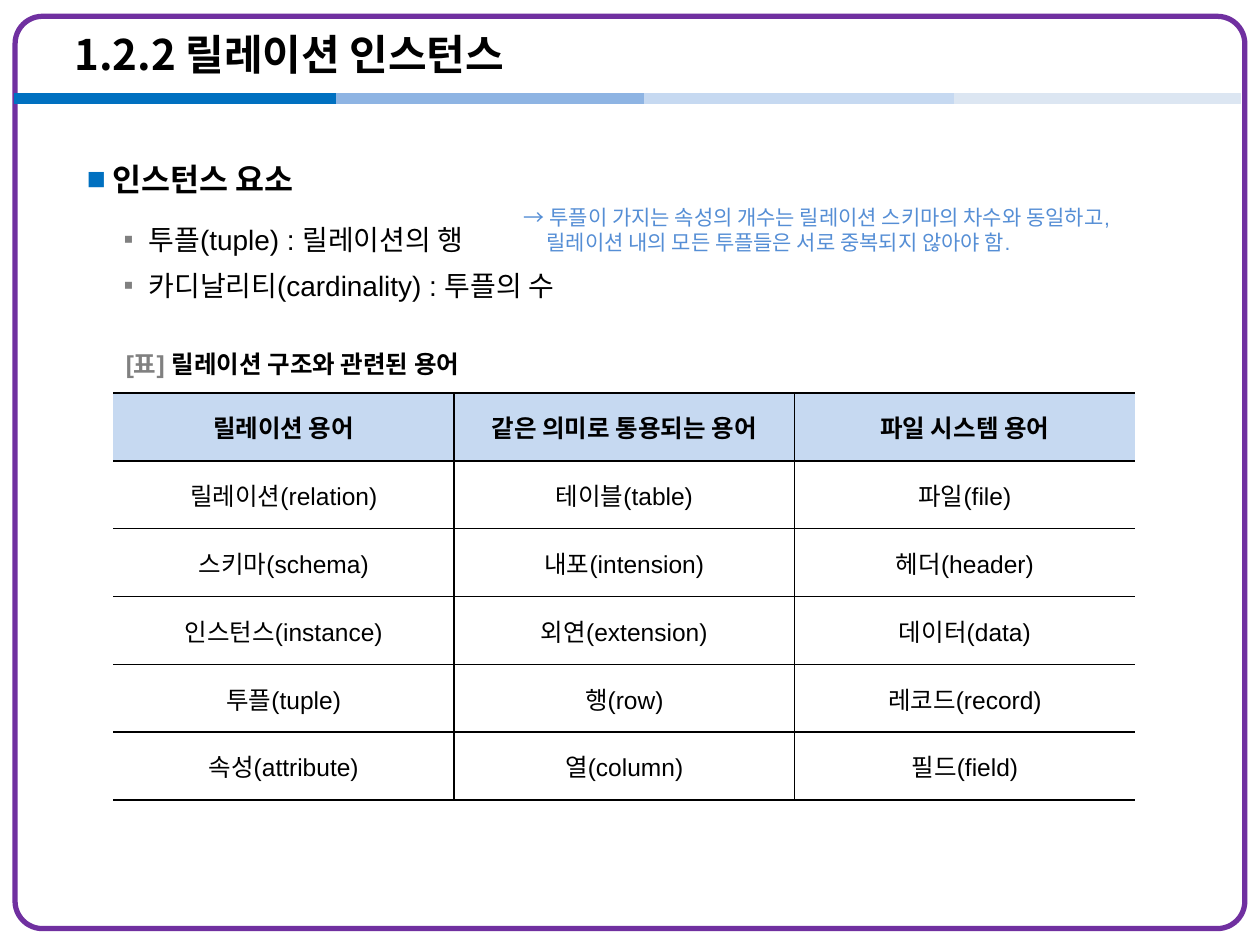
from lxml import etree
from pptx import Presentation
from pptx.dml.color import RGBColor
from pptx.enum.shapes import MSO_CONNECTOR, MSO_SHAPE
from pptx.enum.text import MSO_ANCHOR, MSO_AUTO_SIZE, PP_ALIGN
from pptx.oxml.ns import qn
from pptx.util import Inches, Pt

STRAIGHT = MSO_CONNECTOR.STRAIGHT
ROUNDED = MSO_SHAPE.ROUNDED_RECTANGLE
MIDDLE, TOP = MSO_ANCHOR.MIDDLE, MSO_ANCHOR.TOP
LEFT, CENTER = PP_ALIGN.LEFT, PP_ALIGN.CENTER
NO_FIT = MSO_AUTO_SIZE.NONE

LATIN, KOREAN = "Arial", "Noto Sans CJK KR"
COLORS = {
    "black": "000000", "white": "FFFFFF", "gray": "808080", "frame": "7030A0",
    "blue": "0070C0", "mid": "8EB4E3", "pale": "C6D9F1", "faint": "DCE6F2",
    "note": "558ED5",
}

TITLE = "1.2.2 릴레이션 인스턴스"
OUTLINE = [
    {"text": "인스턴스 요소", "level": 0, "size": 18, "bold": True, "margin": 0.2,
     "bullet": "■", "bullet_color": "blue", "spacing": 1.5, "before": 0, "after": 0},
    {"text": "투플(tuple) : 릴레이션의 행", "level": 1, "size": 16, "bold": False, "margin": 0.49,
     "bullet": "▪", "bullet_color": "gray", "spacing": 1, "before": 14, "after": 4},
    {"text": "카디날리티(cardinality) : 투플의 수", "level": 1, "size": 16, "bold": False, "margin": 0.49,
     "bullet": "▪", "bullet_color": "gray", "spacing": 1, "before": 3.2, "after": 4},
]
NOTE = [
    ("→ 투플이 가지는 속성의 개수는 릴레이션 스키마의 차수와 동일하고,", 0),
    ("릴레이션 내의 모든 투플들은 서로 중복되지 않아야 함.", 0.18),
]
CAPTION = [("[표] ", "gray"), ("릴레이션 구조와 관련된 용어", "black")]
TERMS = [
    ("릴레이션 용어", "같은 의미로 통용되는 용어", "파일 시스템 용어"),
    ("릴레이션(relation)", "테이블(table)", "파일(file)"),
    ("스키마(schema)", "내포(intension)", "헤더(header)"),
    ("인스턴스(instance)", "외연(extension)", "데이터(data)"),
    ("투플(tuple)", "행(row)", "레코드(record)"),
    ("속성(attribute)", "열(column)", "필드(field)"),
]
RULE_Y = 0.78
RULE = [(0.11, 2.67, "blue"), (2.67, 5.23, "mid"), (5.11, 7.67, "pale"), (7.57, 9.85, "faint")]


def rgb(name):
    return RGBColor.from_string(COLORS[name])


def place(shape, left, top, width, height):
    shape.left, shape.top = Inches(left), Inches(top)
    shape.width, shape.height = Inches(width), Inches(height)


def add_run(paragraph, text, size, color, font=LATIN, bold=False):
    run = paragraph.add_run()
    run.text = text
    run.font.name, run.font.size, run.font.bold = font, Pt(size), bold
    run.font.color.rgb = rgb(color)


def set_indent(paragraph, margin, first):
    properties = paragraph._p.get_or_add_pPr()
    properties.set("marL", str(Inches(margin)))
    properties.set("indent", str(Inches(first)))
    return properties


def set_bullet(properties, char, color):
    tint = etree.SubElement(properties, qn("a:buClr"))
    etree.SubElement(tint, qn("a:srgbClr"), val=COLORS[color])
    etree.SubElement(properties, qn("a:buFont"), typeface=LATIN)
    etree.SubElement(properties, qn("a:buChar"), char=char)


def set_border(cell, side, visible):
    line = etree.SubElement(cell._tc.get_or_add_tcPr(), qn(f"a:ln{side}"), w=str(Pt(1)))
    if visible:
        fill = etree.SubElement(line, qn("a:solidFill"))
        etree.SubElement(fill, qn("a:srgbClr"), val=COLORS["black"])
    else:
        etree.SubElement(line, qn("a:noFill"))


def add_frame(slide):
    frame = slide.shapes.add_shape(ROUNDED, 0, 0, 0, 0)
    place(frame, 0.12, 0.13, 9.76, 7.24)
    frame.adjustments[0] = 0.03
    frame.shadow.inherit = False
    frame.fill.background()
    frame.line.color.rgb = rgb("frame")
    frame.line.width = Pt(3)
    for start, end, color in RULE:
        segment = slide.shapes.add_connector(
            STRAIGHT, Inches(start), Inches(RULE_Y), Inches(end), Inches(RULE_Y))
        segment.line.color.rgb = rgb(color)
        segment.line.width = Pt(6)
        etree.SubElement(segment._element.spPr, qn("a:effectLst"))


def fill_title(title):
    place(title, 0.49, 0.13, 8.27, 0.6)
    title.text_frame.auto_size = NO_FIT
    title.text_frame.vertical_anchor = MIDDLE
    heading = title.text_frame.paragraphs[0]
    heading.alignment = LEFT
    add_run(heading, TITLE, 24, "black", KOREAN, True)


def fill_outline(body):
    place(body, 0.59, 1.07, 8.82, 5.98)
    frame = body.text_frame
    frame.auto_size, frame.vertical_anchor = NO_FIT, TOP
    for index, item in enumerate(OUTLINE):
        paragraph = frame.add_paragraph() if index else frame.paragraphs[0]
        paragraph.level = item["level"]
        paragraph.line_spacing = item["spacing"]
        paragraph.space_before = Pt(item["before"])
        paragraph.space_after = Pt(item["after"])
        properties = set_indent(paragraph, item["margin"], -0.2)
        set_bullet(properties, item["bullet"], item["bullet_color"])
        add_run(paragraph, item["text"], item["size"], "black", bold=item["bold"])


def add_terms(slide):
    row_count, column_count = len(TERMS), len(TERMS[0])
    table = slide.shapes.add_table(
        row_count, column_count, Inches(0.9), Inches(3.12), Inches(8.11), Inches(3.23)).table
    table.horz_banding = False
    for row, terms in enumerate(TERMS):
        header = row == 0
        for column, term in enumerate(terms):
            cell = table.cell(row, column)
            set_border(cell, "L", column > 0)
            set_border(cell, "R", column < column_count - 1)
            set_border(cell, "T", True)
            set_border(cell, "B", True)
            cell.fill.solid()
            cell.fill.fore_color.rgb = rgb("pale" if header else "white")
            cell.vertical_anchor = MIDDLE
            paragraph = cell.text_frame.paragraphs[0]
            paragraph.alignment = CENTER
            add_run(paragraph, term, 14, "black", KOREAN if header else LATIN, header)


def add_text_box(slide, left, top, width, height):
    box = slide.shapes.add_textbox(
        Inches(left), Inches(top), Inches(width), Inches(height))
    box.text_frame.word_wrap = True
    box.text_frame.vertical_anchor = MIDDLE
    return box.text_frame


def main():
    deck = Presentation()
    deck.slide_width, deck.slide_height = Inches(10), Inches(7.5)
    slide = deck.slides.add_slide(deck.slide_layouts[1])
    add_frame(slide)
    fill_title(slide.shapes.title)
    fill_outline(slide.placeholders[1])
    add_terms(slide)

    caption = add_text_box(slide, 0.9, 2.73, 3.31, 0.31)
    for text, color in CAPTION:
        add_run(caption.paragraphs[0], text, 14, color, bold=True)

    note = add_text_box(slide, 4.06, 1.55, 5.51, 0.55)
    for index, (text, margin) in enumerate(NOTE):
        paragraph = note.add_paragraph() if index else note.paragraphs[0]
        set_indent(paragraph, margin, 0)
        add_run(paragraph, text, 12, "note")

    deck.save("out.pptx")


if __name__ == "__main__":
    main()
